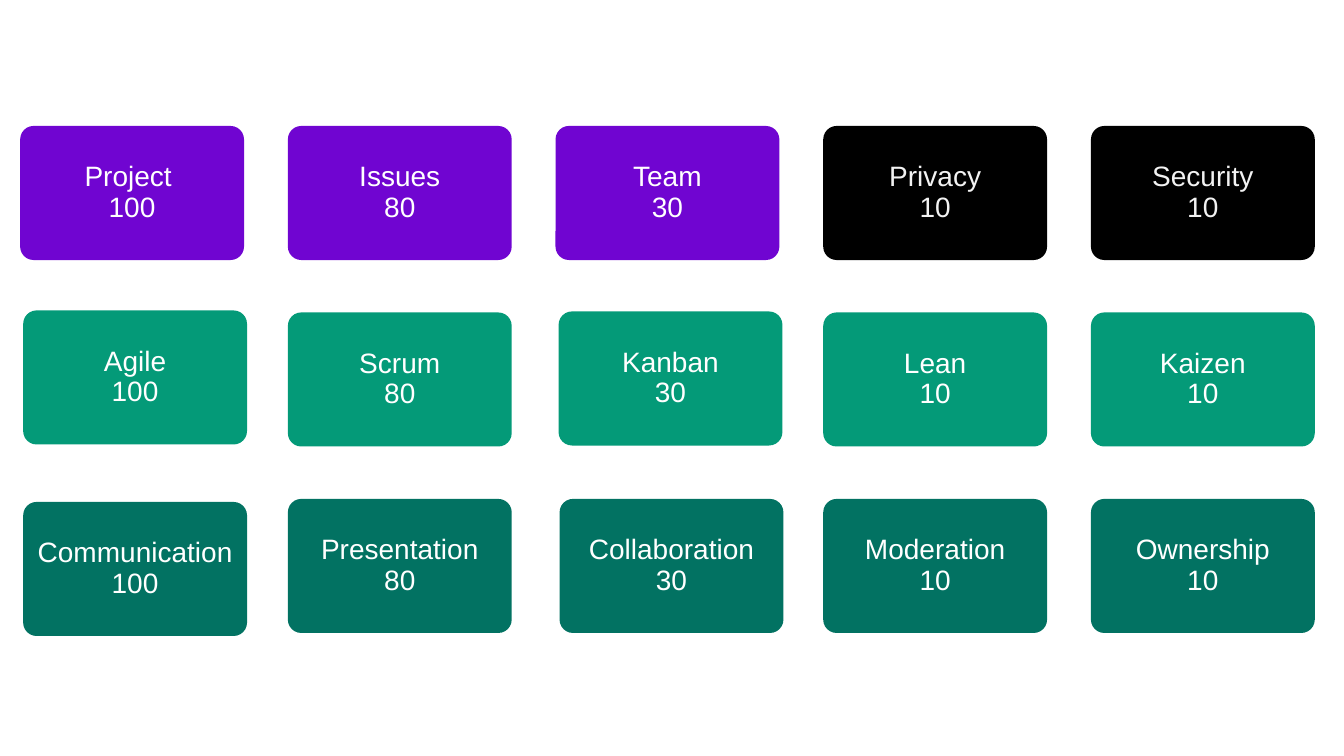
from pptx import Presentation
from pptx.dml.color import RGBColor
from pptx.enum.shapes import MSO_SHAPE
from pptx.enum.text import MSO_ANCHOR, PP_ALIGN
from pptx.util import Inches, Pt

ROUNDED = MSO_SHAPE.ROUNDED_RECTANGLE
MIDDLE = MSO_ANCHOR.MIDDLE
CENTER = PP_ALIGN.CENTER

PURPLE, BLACK, GREEN, TEAL = "7005D1", "000000", "049A78", "027262"
WHITE, OFF_WHITE = "FFFFFF", "F2F2F2"

LEFT, TOP = 0.2, 1.25
COLUMN_STEP, ROW_STEP = 2.655, 1.85
CARD_WIDTH, CARD_HEIGHT = 2.22, 1.33

POINTS = [100, 80, 30, 10, 10]
ROWS = [
    (["Project ", "Issues", "Team", "Privacy", "Security"],
     [PURPLE] * 3 + [BLACK] * 2),
    (["Agile", "Scrum", "Kanban", "Lean", "Kaizen"], [GREEN] * 5),
    (["Communication", "Presentation", "Collaboration", "Moderation",
      "Ownership"], [TEAL] * 5),
]
# Cards set slightly off the grid: (row, column) -> (right, down)
NUDGES = {
    (1, 0): (0.03, -0.02),
    (1, 2): (0.03, -0.01),
    (2, 0): (0.03, 0.03),
    (2, 2): (0.04, 0),
}


def rgb(color):
    return RGBColor.from_string(color)


def add_card(s, x, y, name, points, fill):
    card = s.shapes.add_shape(ROUNDED, Inches(x), Inches(y),
                              Inches(CARD_WIDTH), Inches(CARD_HEIGHT))
    card.adjustments[0] = 0.1
    card.shadow.inherit = False
    card.fill.solid()
    card.fill.fore_color.rgb = rgb(fill)
    card.line.fill.background()

    tf = card.text_frame
    tf.word_wrap = True
    tf.vertical_anchor = MIDDLE
    tf.margin_left = tf.margin_right = Inches(0.1)
    tf.margin_top = tf.margin_bottom = Inches(0.1)
    tf.text = f"{name}\n{points}"
    for p in tf.paragraphs:
        p.alignment = CENTER
        p.line_spacing = 0.9
        for r in p.runs:
            r.font.name = "Arial"
            r.font.size = Pt(20)
            r.font.color.rgb = rgb(OFF_WHITE if fill == BLACK else WHITE)


def main():
    prs = Presentation()
    prs.slide_width, prs.slide_height = Inches(13.33), Inches(7.5)
    s = prs.slides.add_slide(prs.slide_layouts[6])
    for row, (names, fills) in enumerate(ROWS):
        for col, (name, points, fill) in enumerate(zip(names, POINTS, fills)):
            right, down = NUDGES.get((row, col), (0, 0))
            add_card(s, LEFT + col * COLUMN_STEP + right,
                     TOP + row * ROW_STEP + down, name, points, fill)
    prs.save("out.pptx")


if __name__ == "__main__":
    main()
